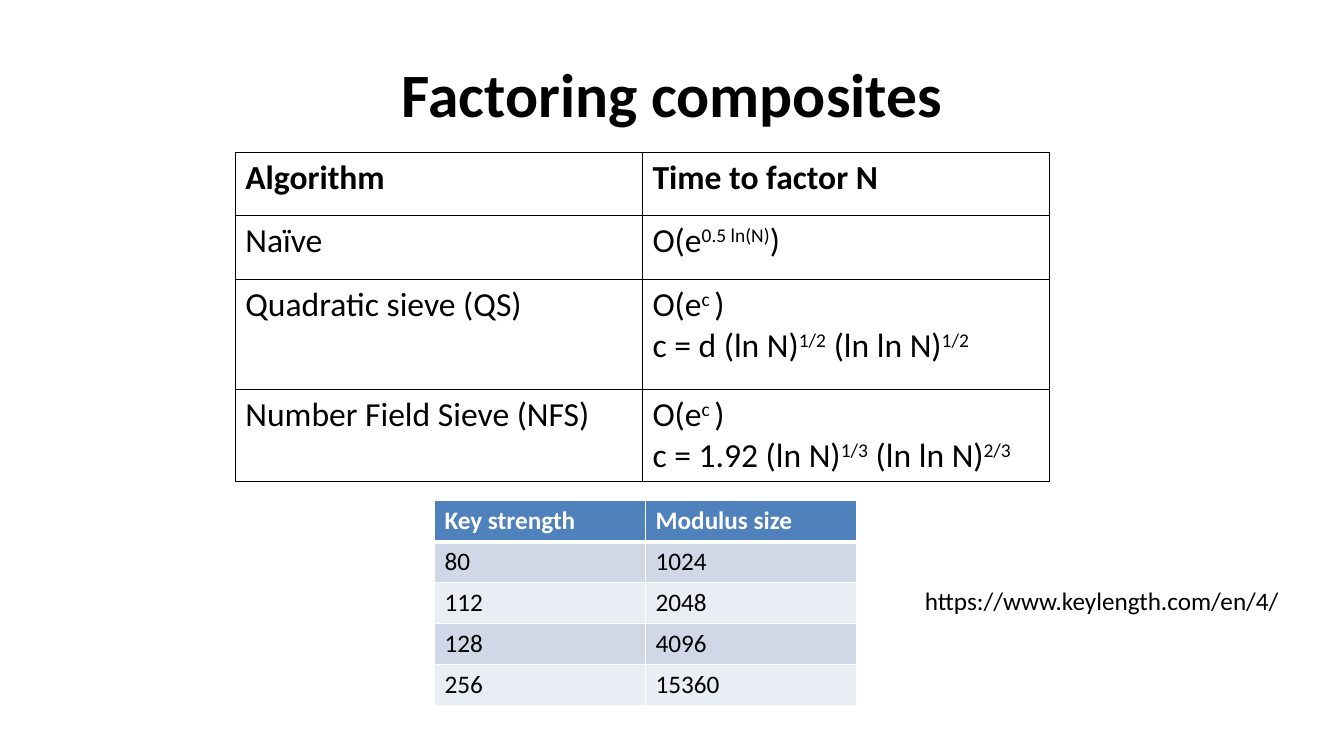
"""Build a slide comparing factoring algorithms and RSA key sizes."""
from dataclasses import dataclass

from lxml import etree
from pptx import Presentation
from pptx.dml.color import RGBColor
from pptx.enum.text import MSO_ANCHOR, MSO_AUTO_SIZE, PP_ALIGN
from pptx.oxml.ns import qn
from pptx.util import Cm, Pt

CENTER, LEFT = PP_ALIGN.CENTER, PP_ALIGN.LEFT
MIDDLE, TOP = MSO_ANCHOR.MIDDLE, MSO_ANCHOR.TOP
FIT_SHAPE, FIT_NONE = MSO_AUTO_SIZE.SHAPE_TO_FIT_TEXT, MSO_AUTO_SIZE.NONE
FONT = "Calibri"
COLORS = {
    "ink": "000000",
    "paper": "FFFFFF",
    "header": "4F81BD",
    "odd": "D0D8E8",
    "even": "E9EDF4",
}


@dataclass
class Label:
    text: str
    left: float
    top: float
    width: float
    height: float
    size: int
    bold: bool = False
    centered: bool = False
    wrap: bool = True


@dataclass
class Grid:
    rows: list[tuple[str, str]]
    left: float
    top: float
    column_width: float
    row_heights: list[float]
    size: int
    border: str
    header_ink: str
    header_rule: int = 1
    fills: tuple[str, ...] = ()


LABELS = [
    Label("Factoring composites", 1.7, 0.76, 30.48, 3.18, 44, bold=True, centered=True),
    Label("https://www.keylength.com/en/4/", 23.06, 14.63, 9.55, 1.02, 18, wrap=False),
]
ALGORITHMS = Grid(
    rows=[
        ("Algorithm", "Time to factor N"),
        ("Naïve", "O(e|0.5 ln(N)|)"),
        ("Quadratic sieve (QS)", "O(e|c |)\nc = d (ln N)|1/2| (ln ln N)|1/2"),
        ("Number Field Sieve (NFS)", "O(e|c |)\nc = 1.92 (ln N)|1/3| (ln ln N)|2/3"),
    ],
    left=5.93, top=3.84, column_width=10.26, row_heights=[1.6, 1.6, 2.77, 2.33],
    size=24, border="ink", header_ink="ink",
)
KEY_SIZES = Grid(
    rows=[
        ("Key strength", "Modulus size"),
        ("80", "1024"),
        ("112", "2048"),
        ("128", "4096"),
        ("256", "15360"),
    ],
    left=10.95, top=12.62, column_width=5.32, row_heights=[1.03] * 5,
    size=18, border="paper", header_ink="paper", header_rule=3,
    fills=("header", "odd", "even", "odd", "even"),
)


def write(frame, text: str, size: int, ink: str, bold: bool) -> None:
    """Write lines of text, raising every second part between bars."""
    for index, line in enumerate(text.split("\n")):
        paragraph = frame.add_paragraph() if index else frame.paragraphs[0]
        for part_index, part in enumerate(line.split("|")):
            run = paragraph.add_run()
            run.text = part
            run.font.name = FONT
            run.font.size = Pt(size)
            run.font.bold = bold
            run.font.color.rgb = RGBColor.from_string(COLORS[ink])
            if part_index % 2:
                run.font._element.set("baseline", "30000")


def draw_label(slide, label: Label) -> None:
    """Draw a free line of text."""
    box = slide.shapes.add_textbox(
        Cm(label.left), Cm(label.top), Cm(label.width), Cm(label.height))
    frame = box.text_frame
    frame.word_wrap = label.wrap
    frame.auto_size = FIT_NONE if label.wrap else FIT_SHAPE
    frame.vertical_anchor = MIDDLE if label.centered else TOP
    write(frame, label.text, label.size, "ink", label.bold)
    frame.paragraphs[0].alignment = CENTER if label.centered else LEFT


def add_border(cell, side: str, width: int, color: str) -> None:
    """Add a solid line to one side of a cell."""
    properties = cell._tc.get_or_add_tcPr()
    line = etree.SubElement(properties, qn(f"a:ln{side}"), w=str(Pt(width)))
    fill = etree.SubElement(line, qn("a:solidFill"))
    etree.SubElement(fill, qn("a:srgbClr"), val=COLORS[color])


def draw_grid(slide, grid: Grid) -> None:
    """Draw a two-column table with a header row."""
    columns = len(grid.rows[0])
    table = slide.shapes.add_table(
        len(grid.rows), columns, Cm(grid.left), Cm(grid.top),
        Cm(grid.column_width * columns), Cm(sum(grid.row_heights))).table
    table.first_row = table.horz_banding = False
    for column in table.columns:
        column.width = Cm(grid.column_width)
    for row_index, texts in enumerate(grid.rows):
        table.rows[row_index].height = Cm(grid.row_heights[row_index])
        is_header = row_index == 0
        ink = grid.header_ink if is_header else "ink"
        widths = {
            "L": 1,
            "R": 1,
            "T": grid.header_rule if row_index == 1 else 1,
            "B": grid.header_rule if is_header else 1,
        }
        for column_index, text in enumerate(texts):
            cell = table.cell(row_index, column_index)
            write(cell.text_frame, text, grid.size, ink, is_header)
            for side, width in widths.items():
                add_border(cell, side, width, grid.border)
            if grid.fills:
                cell.fill.solid()
                cell.fill.fore_color.rgb = RGBColor.from_string(
                    COLORS[grid.fills[row_index]])
            else:
                cell.fill.background()


def main() -> None:
    """Build and save the slide."""
    deck = Presentation()
    deck.slide_width, deck.slide_height = Cm(33.87), Cm(19.05)
    slide = deck.slides.add_slide(deck.slide_layouts[6])
    for label in LABELS:
        draw_label(slide, label)
    for grid in (ALGORITHMS, KEY_SIZES):
        draw_grid(slide, grid)
    deck.save("out.pptx")


if __name__ == "__main__":
    main()
